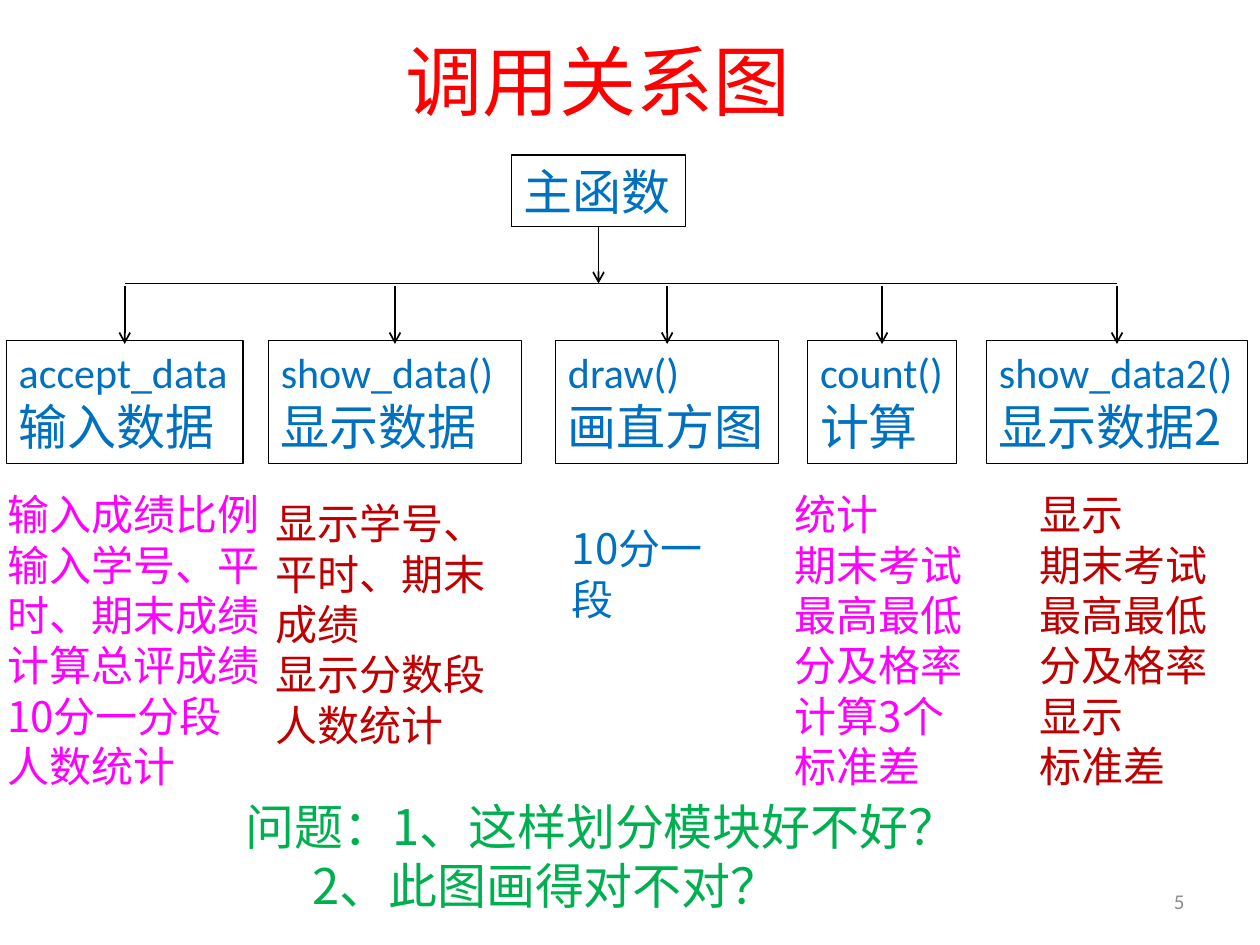
from lxml import etree
from pptx import Presentation
from pptx.dml.color import RGBColor
from pptx.enum import shapes, text
from pptx.oxml.ns import qn
from pptx.util import Inches, Pt

BLACK = RGBColor(0, 0, 0)
RED = RGBColor(0xFF, 0, 0)
BLUE = RGBColor(0, 0x70, 0xC0)
GREEN = RGBColor(0, 0xB0, 0x50)
MAGENTA = RGBColor(0xFF, 0, 0xFF)
DARK_RED = RGBColor(0xC0, 0, 0)
GREY = RGBColor(0x8C, 0x8C, 0x8C)
LATIN = "Calibri"
CHINESE = "Noto Sans CJK SC"


class Diagram:
    def __init__(self, slide):
        self.slide = slide

    def set_lines(self, shape, lines, color, wrap=False, grow=True,
                  align=text.PP_ALIGN.LEFT, anchor=text.MSO_ANCHOR.TOP):
        """Fill a shape with (wording, size, font) lines."""
        frame = shape.text_frame
        frame.text = "\n".join(line[0] for line in lines)
        frame.word_wrap = wrap
        frame.vertical_anchor = anchor
        if grow:
            frame.auto_size = text.MSO_AUTO_SIZE.SHAPE_TO_FIT_TEXT
        for paragraph, (_, size, font) in zip(frame.paragraphs, lines):
            paragraph.alignment = align
            run = paragraph.runs[0]
            run.font.size = Pt(size)
            run.font.name = font
            run.font.color.rgb = color
            east_asian = etree.SubElement(run._r.get_or_add_rPr(), qn("a:ea"))
            east_asian.set("typeface", font)
        return shape

    def label(self, left, top, width, height, wording, size, color,
              font=CHINESE, **options):
        shape = self.slide.shapes.add_textbox(
            Inches(left), Inches(top), Inches(width), Inches(height))
        lines = [(line, size, font) for line in wording.split("\n")]
        return self.set_lines(shape, lines, color, **options)

    def box(self, left, top, width, height, lines, wrap=False):
        shape = self.slide.shapes.add_shape(
            shapes.MSO_SHAPE.RECTANGLE,
            Inches(left), Inches(top), Inches(width), Inches(height))
        shape.shadow.inherit = False
        shape.fill.background()
        shape.line.color.rgb = BLACK
        shape.line.width = Pt(0.75)
        return self.set_lines(shape, lines, BLUE, wrap=wrap)

    def line(self, x1, y1, x2, y2, arrow=True):
        connector = self.slide.shapes.add_connector(
            shapes.MSO_CONNECTOR.STRAIGHT,
            Inches(x1), Inches(y1), Inches(x2), Inches(y2))
        connector.line.color.rgb = BLACK
        connector.line.width = Pt(1)
        properties = connector._element.spPr
        if arrow:
            tail = etree.SubElement(properties.find(qn("a:ln")), qn("a:tailEnd"))
            tail.set("type", "arrow")
        etree.SubElement(properties, qn("a:effectLst"))


presentation = Presentation()
presentation.slide_width = Inches(10)
presentation.slide_height = Inches(7.5)
diagram = Diagram(presentation.slides.add_slide(presentation.slide_layouts[6]))

# Title and slide number
diagram.label(0.25, 0.01, 9, 1.25, "调用关系图", 44, RED, wrap=True, grow=False,
              align=text.PP_ALIGN.CENTER, anchor=text.MSO_ANCHOR.MIDDLE)
diagram.label(7.17, 6.95, 2.33, 0.4, "5", 12, GREY, font=LATIN, wrap=True,
              grow=False, align=text.PP_ALIGN.RIGHT,
              anchor=text.MSO_ANCHOR.MIDDLE)

# Called functions: left, width, name, purpose, wrap
functions = [
    (0.05, 1.88, "accept_data", "输入数据", False),
    (2.13, 2.01, "show_data()", "显示数据", True),
    (4.41, 1.77, "draw()", "画直方图", False),
    (6.41, 1.18, "count()", "计算", False),
    (7.83, 2.07, "show_data2()", "显示数据2", False),
]
diagram.box(4.06, 1.23, 1.38, 0.57, [("主函数", 28, CHINESE)])
for left, width, name, purpose, wrap in functions:
    diagram.box(left, 2.7, width, 0.98,
                [(name, 24, LATIN), (purpose, 28, CHINESE)], wrap)

# Call lines
BUS_Y = 2.25
centers = [left + width / 2 for left, width, *_ in functions]
diagram.line(4.75, 1.8, 4.75, BUS_Y)
diagram.line(centers[0], BUS_Y, centers[-1], BUS_Y, arrow=False)
for center in centers:
    diagram.line(center, 2.27, center, 2.73)

# Details below each function
details = [
    (-0.04, 3.83, 2.22, 2.52, MAGENTA, False,
     "输入成绩比例\n输入学号、平\n时、期末成绩\n计算总评成绩\n10分一分段\n人数统计"),
    (2.09, 3.9, 1.88, 2.12, DARK_RED, False,
     "显示学号、\n平时、期末\n成绩\n显示分数段\n人数统计"),
    (4.44, 4.1, 1.55, 0.9, BLUE, True, "10分一段"),
    (6.21, 3.83, 1.55, 2.52, MAGENTA, False,
     "统计\n期末考试\n最高最低\n分及格率\n计算3个\n标准差"),
    (8.15, 3.83, 1.55, 2.52, DARK_RED, False,
     "显示\n期末考试\n最高最低\n分及格率\n显示\n标准差"),
]
for left, top, width, height, color, wrap, wording in details:
    diagram.label(left, top, width, height, wording, 24, color, wrap=wrap)

# Questions, the second one indented
questions = diagram.label(1.85, 6.27, 5.9, 1.04,
                          "问题：1、这样划分模块好不好？\n2、此图画得对不对？", 28, GREEN)
second = questions.text_frame.paragraphs[1]
second._p.get_or_add_pPr().set("marL", str(Inches(0.53)))

presentation.save("out.pptx")
